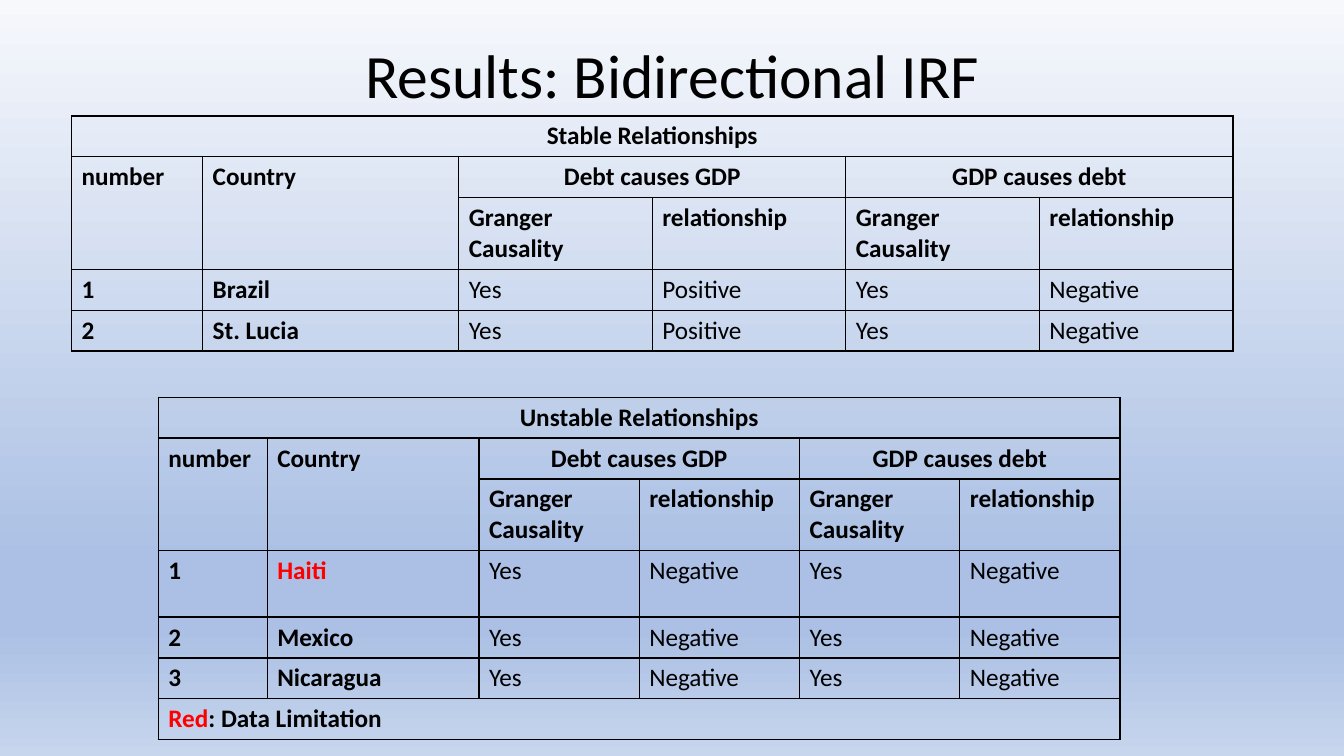
from pptx import Presentation
from pptx import util as u
from pptx.dml.color import RGBColor
from pptx.enum import text
from pptx.oxml import parse_xml
from pptx.oxml.ns import nsdecls

TITLE = "Results: Bidirectional IRF"
GROUPS = ["Debt causes GDP", "GDP causes debt"]
MEASURES = ["Granger Causality", "relationship"]
KEYS = ["number", "Country"]
FLAGGED = {"Haiti", "Red"}
TABLES = [
    dict(heading="Stable Relationships", at=(0.71, 1.15),
         cols=[1.3, 2.54] + [1.92] * 4,
         rows=[0.36, 0.36, 0.63, 0.36, 0.36],
         data=[("Brazil", "Yes", "Positive", "Yes", "Negative"),
               ("St. Lucia", "Yes", "Positive", "Yes", "Negative")],
         note=None),
    dict(heading="Unstable Relationships", at=(1.57, 3.94),
         cols=[1.08, 2.1] + [1.59] * 4,
         rows=[0.38, 0.38, 0.66, 0.66, 0.38, 0.38, 0.39],
         data=[("Haiti", "Yes", "Negative", "Yes", "Negative"),
               ("Mexico", "Yes", "Negative", "Yes", "Negative"),
               ("Nicaragua", "Yes", "Negative", "Yes", "Negative")],
         note=["Red", ": Data Limitation"]),
]
THEME = dict(
    font="Calibri", title=44, cell=18, ink="000000", flag="FF0000", border=1,
    sky=[(0, "F6F8FC"), (74, "ABC0E4"), (83, "ABC0E4"), (100, "C7D5ED")],
)
CENTER = text.PP_ALIGN.CENTER


def write(p, runs, size, bold=False, align=None):
    p.alignment = align
    for words in runs:
        r = p.add_run()
        r.text = words
        style = dict(name=THEME["font"], size=u.Pt(size), bold=bold)
        for name, value in style.items():
            setattr(r.font, name, value)
        color = THEME["flag" if words in FLAGGED else "ink"]
        r.font.color.rgb = RGBColor.from_string(color)


def paint_background(slide):
    stops = "".join(
        f'<a:gs pos="{pos * 1000}"><a:srgbClr val="{color}"/></a:gs>'
        for pos, color in THEME["sky"])
    slide.element.cSld.insert(0, parse_xml(
        f'<p:bg {nsdecls("p", "a")}><p:bgPr><a:gradFill rotWithShape="1">'
        f'<a:gsLst>{stops}</a:gsLst><a:lin ang="5400000" scaled="0"/>'
        '</a:gradFill><a:effectLst/></p:bgPr></p:bg>'))


def outline(cell):
    cell.fill.background()
    tc_pr = cell._tc.get_or_add_tcPr()
    for i, side in enumerate("LRTB"):
        tc_pr.insert(i, parse_xml(
            f'<a:ln{side} {nsdecls("a")} w="{u.Pt(THEME["border"])}">'
            f'<a:solidFill><a:srgbClr val="{THEME["ink"]}"/></a:solidFill>'
            f'</a:ln{side}>'))


def add_results(slide, heading, at, cols, rows, data, note):
    left, top = map(u.Inches, at)
    table = slide.shapes.add_table(
        len(rows), len(cols), left, top,
        u.Inches(sum(cols)), u.Inches(sum(rows))).table
    table.first_row = table.horz_banding = False
    for col, width in zip(table.columns, cols):
        col.width = u.Inches(width)
    for row, height in zip(table.rows, rows):
        row.height = u.Inches(height)
    for cell in table.iter_cells():
        outline(cell)

    def put(row, col, runs, bold=True, align=None, down=1, across=1):
        cell = table.cell(row, col)
        if down * across > 1:
            cell.merge(table.cell(row + down - 1, col + across - 1))
        write(cell.text_frame.paragraphs[0], runs, THEME["cell"], bold, align)

    put(0, 0, [heading], align=CENTER, across=len(cols))
    for c, key in enumerate(KEYS):
        put(1, c, [key], down=2)
    for g, group in enumerate(GROUPS):
        first = len(KEYS) + g * len(MEASURES)
        put(1, first, [group], align=CENTER, across=len(MEASURES))
        for m, measure in enumerate(MEASURES):
            put(2, first + m, [measure])
    for n, record in enumerate(data, 1):
        for c, value in enumerate((str(n), *record)):
            put(n + 2, c, [value], bold=c < len(KEYS))
    if note:
        put(len(rows) - 1, 0, note, across=len(cols))


def main():
    prs = Presentation()
    prs.slide_width, prs.slide_height = u.Inches(13.33), u.Inches(7.5)
    slide = prs.slides.add_slide(prs.slide_layouts[5])
    paint_background(slide)

    title = slide.shapes.title
    box = dict(left=0.92, top=0.4, width=11.5, height=1.45)
    for name, value in box.items():
        setattr(title, name, u.Inches(value))
    tf = title.text_frame
    tf.vertical_anchor = text.MSO_ANCHOR.TOP
    tf.auto_size = text.MSO_AUTO_SIZE.NONE
    tf.paragraphs[0].line_spacing = 0.9
    write(tf.paragraphs[0], [TITLE], THEME["title"], align=CENTER)

    for results in TABLES:
        add_results(slide, **results)
    prs.save("out.pptx")


if __name__ == "__main__":
    main()
